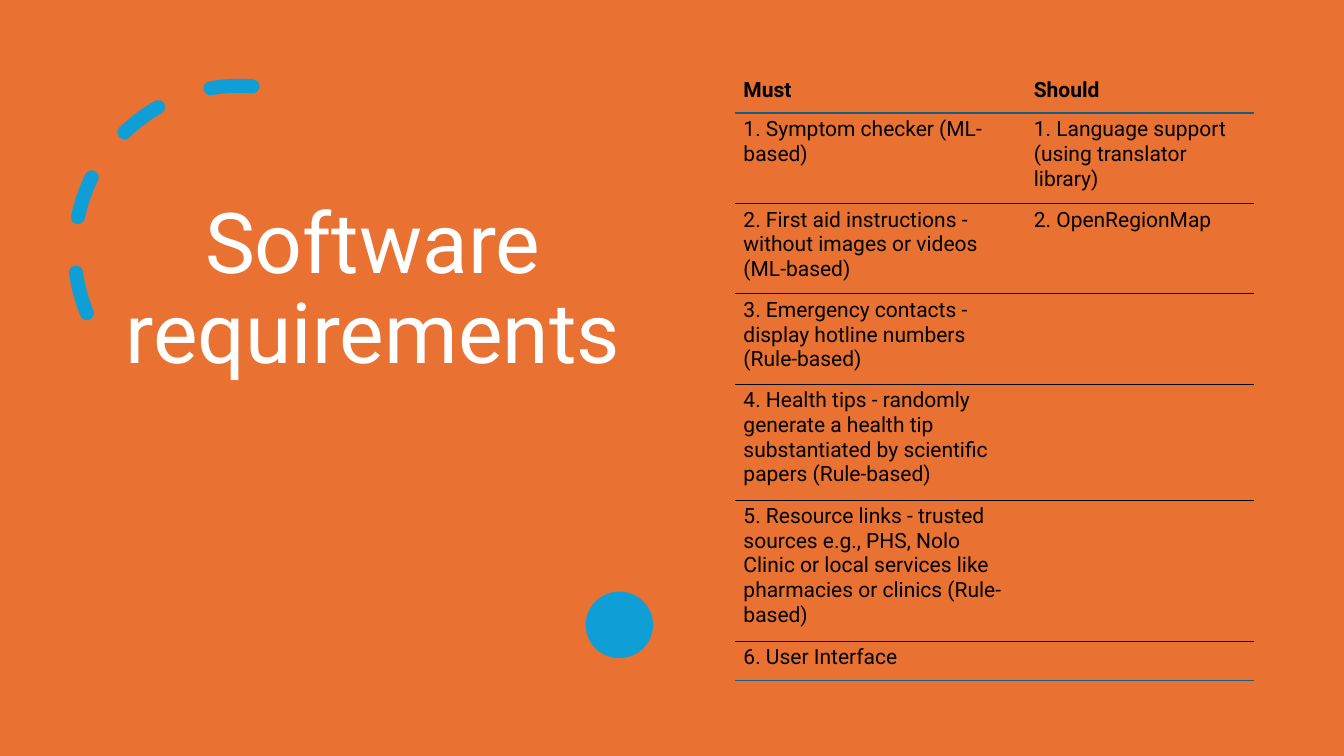
from lxml import etree
from pptx import Presentation, util as u
from pptx.dml.color import RGBColor
from pptx.enum import dml, shapes, text
from pptx.oxml.ns import qn

COLORS = {
    "background": "E97132",
    "accent": "0F9ED5",
    "title": "FFFFFF",
    "ink": "000000",
    "rule": "156082",
}
FONT = "Roboto"
NO_GRID_STYLE = "{2D5ABB26-0587-4C30-8999-92F81FD0307C}"

REQUIREMENTS = [
    ("Must", "Should"),
    ("1. Symptom checker (ML-based)",
     "1. Language support (using translator library)"),
    ("2. First aid instructions - without images or videos (ML-based)",
     "2. OpenRegionMap"),
    ("3. Emergency contacts - display hotline numbers (Rule-based)", ""),
    ("4. Health tips - randomly generate a health tip substantiated by "
     "scientific papers (Rule-based)", ""),
    ("5. Resource links - trusted sources e.g., PHS, Nolo Clinic or local "
     "services like pharmacies or clinics (Rule-based)", ""),
    ("6. User Interface", ""),
]
COLUMN_WIDTHS = [207.4, 163.4]
ROW_HEIGHTS = [28.1, 64.5, 64.5, 64.5, 82.8, 100.8, 28.1]
# Rule under each row: colour name and width
ROW_RULES = [("rule", 1.5)] + [("ink", 0.25)] * 5 + [("rule", 1)]


def rgb(name):
    return RGBColor.from_string(COLORS[name])


def write(frame, words, size, color, bold=False, align=None, spacing=None):
    paragraph = frame.paragraphs[0]
    paragraph.alignment = align
    paragraph.line_spacing = spacing
    run = paragraph.add_run()
    run.text = words
    run.font.name = FONT
    run.font.size = u.Pt(size)
    run.font.bold = bold
    run.font.color.rgb = rgb(color)


def set_borders(cell, top, bottom):
    """Draw the horizontal rules of a cell and clear its sides."""
    properties = cell._tc.get_or_add_tcPr()
    edges = [("lnL", None), ("lnR", None), ("lnT", top), ("lnB", bottom)]
    for position, (tag, rule) in enumerate(edges):
        line = etree.Element(qn(f"a:{tag}"))
        if rule:
            color, width = rule
            line.set("w", str(int(u.Pt(width))))
            fill = etree.SubElement(line, qn("a:solidFill"))
            etree.SubElement(fill, qn("a:srgbClr"), val=COLORS[color])
        else:
            etree.SubElement(line, qn("a:noFill"))
        properties.insert(position, line)


class SlideBuilder:
    """Places styled elements on one slide, with lengths in points."""

    def __init__(self, slide):
        self.slide = slide

    def shape(self, kind, box, fill=None):
        item = self.slide.shapes.add_shape(kind, *map(u.Pt, box))
        item.shadow.inherit = False
        item.line.fill.background()
        if fill:
            item.fill.solid()
            item.fill.fore_color.rgb = rgb(fill)
        else:
            item.fill.background()
        return item

    def dashed_arc(self, box, start, rotation, color, width):
        """Draw an arc clockwise from start to 0; a full turn is 216 units."""
        arc = self.shape(shapes.MSO_SHAPE.ARC, box)
        arc.adjustments[0] = start
        arc.adjustments[1] = 0
        arc.rotation = rotation
        arc.line.color.rgb = rgb(color)
        arc.line.width = u.Pt(width)
        arc.line.dash_style = dml.MSO_LINE.DASH
        arc.element.spPr.find(qn("a:ln")).set("cap", "rnd")

    def title(self, words, box):
        heading = self.slide.shapes.title
        heading.left, heading.top, heading.width, heading.height = map(u.Pt, box)
        frame = heading.text_frame
        frame.word_wrap = True
        frame.auto_size = text.MSO_AUTO_SIZE.NONE
        frame.vertical_anchor = text.MSO_ANCHOR.BOTTOM
        write(frame, words, 60, "title", align=text.PP_ALIGN.CENTER, spacing=0.9)
        # Bring the heading in front of the shapes drawn so far
        heading.element.getparent().append(heading.element)

    def table(self, rows, left, top):
        box = (left, top, sum(COLUMN_WIDTHS), sum(ROW_HEIGHTS))
        frame = self.slide.shapes.add_table(
            len(rows), len(COLUMN_WIDTHS), *map(u.Pt, box))
        grid = frame.table
        grid.horz_banding = False
        style = frame.element.find(".//" + qn("a:tableStyleId"))
        style.text = NO_GRID_STYLE
        for column, width in zip(grid.columns, COLUMN_WIDTHS):
            column.width = u.Pt(width)
        for index, entries in enumerate(rows):
            grid.rows[index].height = u.Pt(ROW_HEIGHTS[index])
            above = ROW_RULES[index - 1] if index else None
            for cell, entry in zip(grid.rows[index].cells, entries):
                cell.fill.background()
                cell.margin_left = cell.margin_right = u.Pt(6.2)
                cell.margin_top = cell.margin_bottom = u.Pt(3.1)
                set_borders(cell, above, ROW_RULES[index])
                if entry:
                    write(cell.text_frame, entry, 15, "ink", bold=index == 0)


def main():
    deck = Presentation()
    deck.slide_width, deck.slide_height = u.Pt(960), u.Pt(540)
    builder = SlideBuilder(deck.slides.add_slide(deck.slide_layouts[5]))
    builder.shape(shapes.MSO_SHAPE.RECTANGLE, (0, 0, 960, 540), "background")
    builder.dashed_arc((53.3, 61.2, 235.4, 235.4), start=144.56, rotation=276.7,
                       color="accent", width=10)
    builder.title("Software requirements", (66.2, 88.6, 400.3, 187.9))
    builder.shape(shapes.MSO_SHAPE.OVAL, (418.3, 422.6, 48.2, 47.5), "accent")
    builder.table(REQUIREMENTS, 524.9, 52.6)
    deck.save("out.pptx")


if __name__ == "__main__":
    main()
